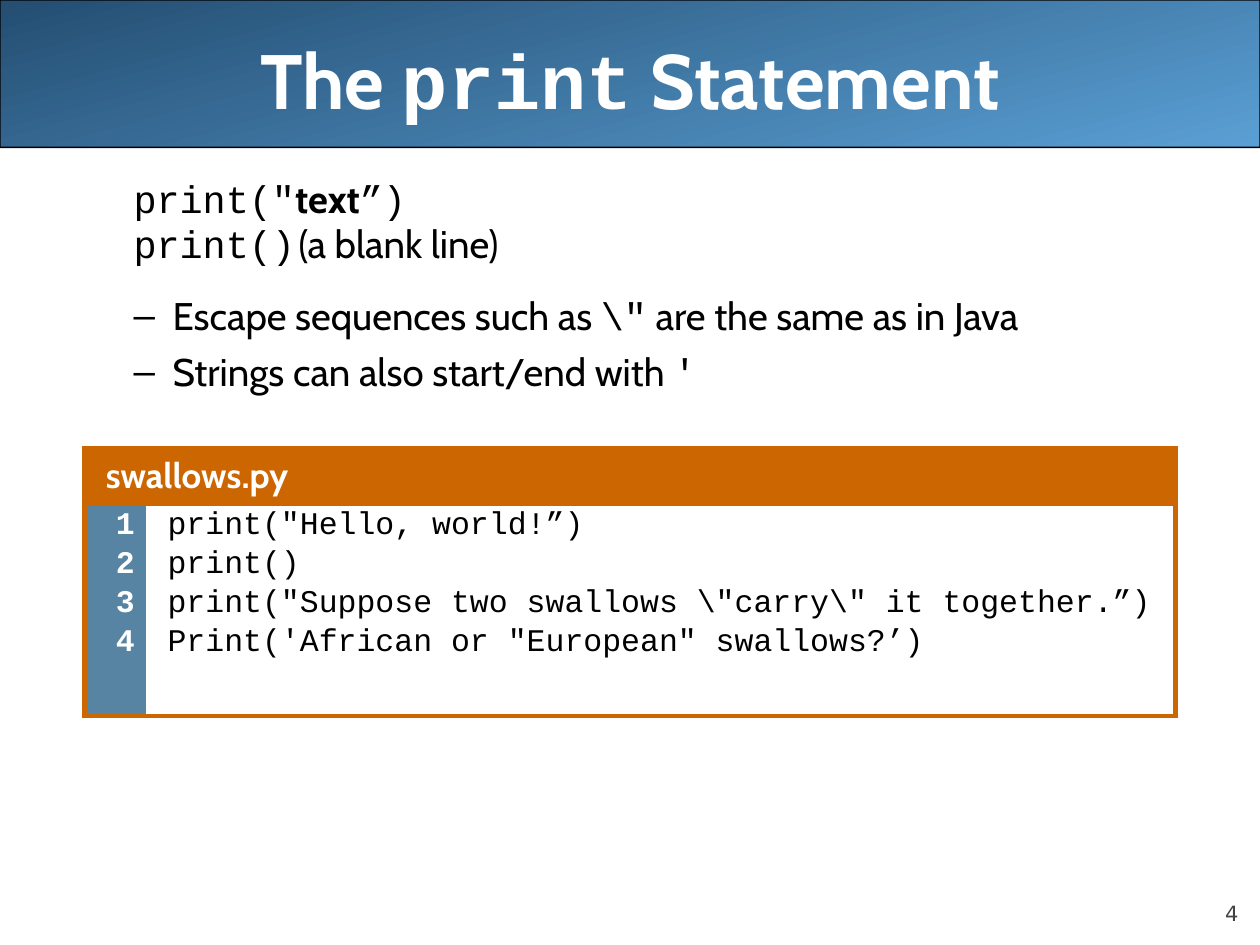
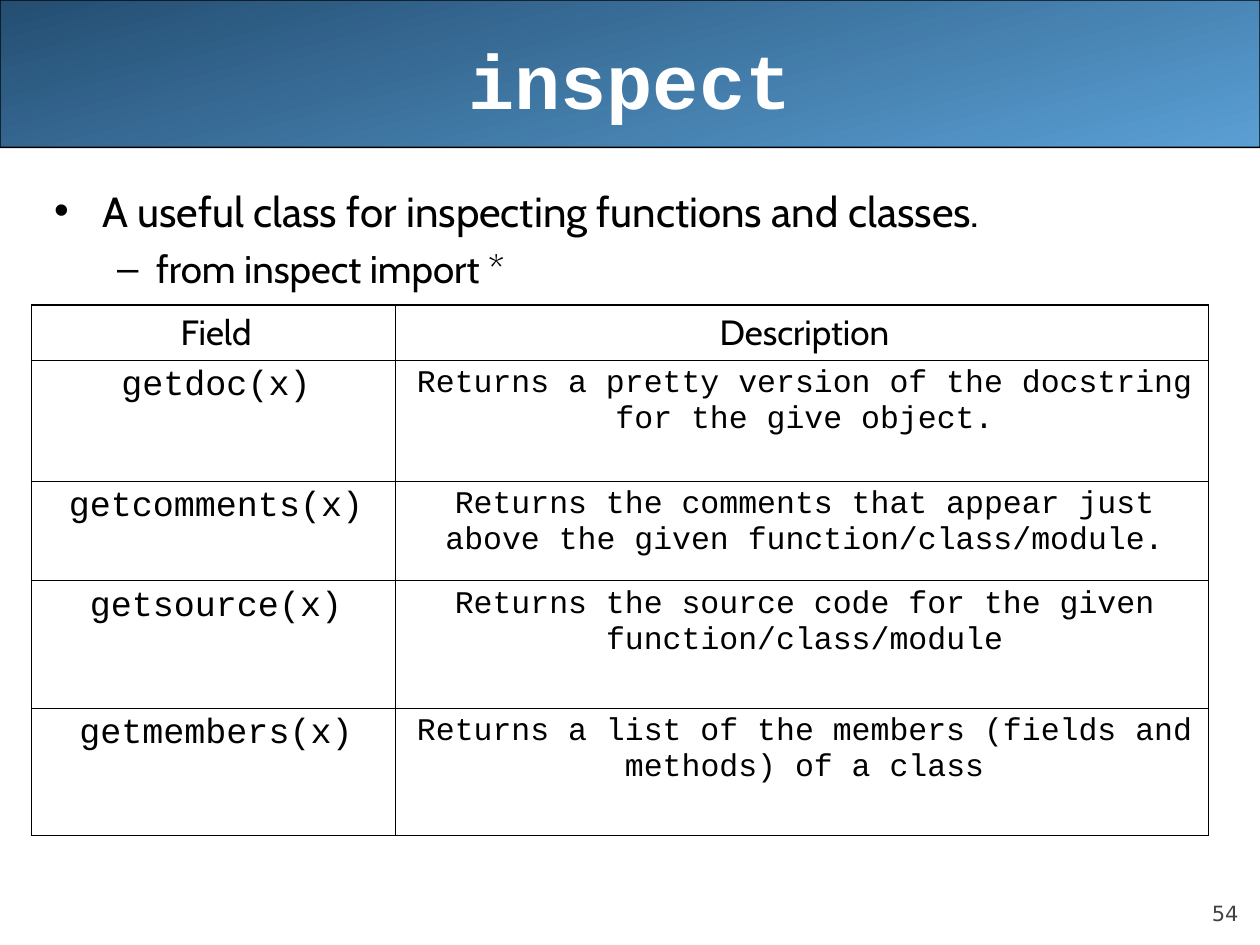
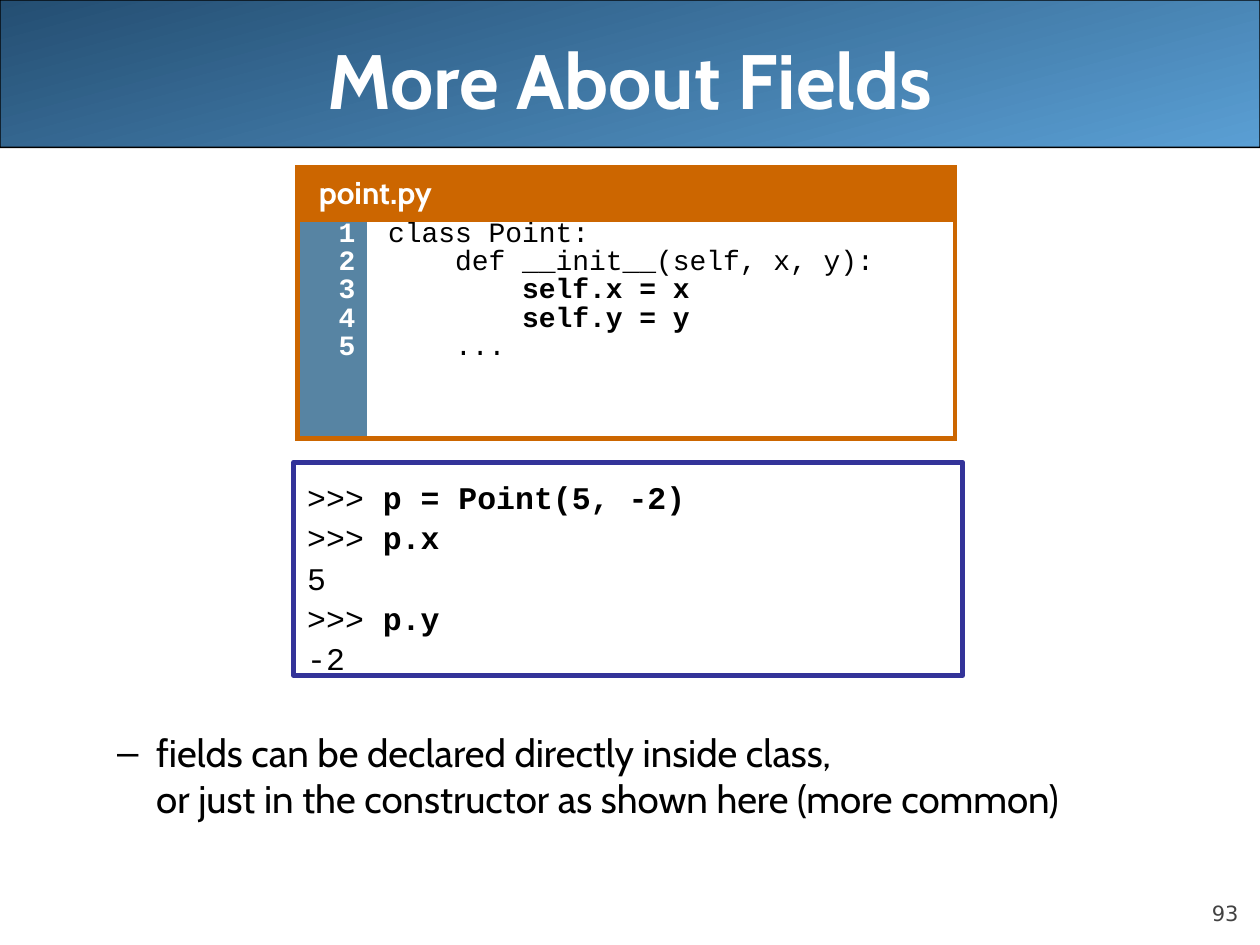
"""Build three Python lecture slides with code listings and a function table."""
from copy import deepcopy

from lxml.etree import SubElement
from pptx import Presentation
from pptx.dml.color import RGBColor
from pptx.enum.shapes import MSO_SHAPE as Shape
from pptx.enum.text import MSO_ANCHOR as Anchor, MSO_AUTO_SIZE as AutoSize, PP_ALIGN as Align
from pptx.oxml.ns import qn
from pptx.util import Inches, Pt

WIDTH, HEIGHT = 10, 7.5
BLACK, WHITE, GRAY = "000000", "FFFFFF", "424242"
BAND = ("244E72", "5A9FD4")
ORANGE, STEEL, INDIGO = "CC6600", "5784A3", "333399"

FACES = {
    "text": {"name": "Cabin", "bold": False},
    "strong": {"name": "Cabin", "bold": True},
    "code": {"name": "Courier New", "bold": False},
    "key": {"name": "Courier New", "bold": True},
    "number": {"name": "DejaVu Sans", "bold": False},
}
BODY = (0.33, 1.42, 9.5, 5.42)
SYNTAX = {"left": 0.94, "hang": -0.31, "level": 1, "line_spacing": 0.77,
          "space_before": Pt(5.5), "plain": True}
POINT = {"left": 0.38, "hang": -0.38, "space_before": Pt(6), "size": 24}
DASH = {"left": 0.81, "hang": -0.31, "level": 1, "space_before": Pt(5.5)}
WIDE_DASH = {**DASH, "left": 0.94}

PRINT_TITLE = [("The ", "strong"), ("print", "key"), (" Statement", "strong")]
PRINT_BODY = [
    ([('print("', "code"), ("text", "strong"), ("”)", "code")], SYNTAX),
    ([("print()\t", "code"), ("(a blank line)", "text")], SYNTAX),
    ([("Escape sequences such as ", "text"), ('\\"', "code"),
      (" are the same as in Java", "text")], {**WIDE_DASH, "space_before": Pt(15)}),
    ([("Strings can also start/end with ", "text"), ("'", "code")], WIDE_DASH),
]
SWALLOWS = {
    "name": "swallows.py",
    "lines": [
        ('print("Hello, world!”)', "code"),
        ("print()", "code"),
        ('print("Suppose two swallows \\"carry\\" it together.”)', "code"),
        ("Print('African or \"European\" swallows?’)", "code"),
    ],
    "at": (0.67, 3.56), "columns": (0.49, 8.17), "rows": (0.42, 1.69),
    "name_size": 20, "size": 18, "line_spacing": 0.87, "space_before": 4.5,
}
INSPECT_TITLE = [("inspect", "key")]
INSPECT_BODY = [
    ([("A useful class for inspecting functions and classes.", "text")], POINT),
    ([("from inspect import *", "text")], DASH),
]
FUNCTIONS = [
    ("Field", "Description"),
    ("getdoc(x)", "Returns a pretty version of the docstring for the give object."),
    ("getcomments(x)",
     "Returns the comments that appear just above the given function/class/module."),
    ("getsource(x)", "Returns the source code for the given function/class/module"),
    ("getmembers(x)", "Returns a list of the members (fields and methods) of a class"),
]
FIELDS_TITLE = [("More About Fields", "strong")]
FIELDS_BODY = [
    ([("fields can be declared directly inside class,\n"
       "or just in the constructor as shown here (more common)", "text")], DASH),
]
POINT_CLASS = {
    "name": "point.py",
    "lines": [
        ("class Point:", "code"),
        ("    def __init__(self, x, y):", "code"),
        ("        self.x = x", "key"),
        ("        self.y = y", "key"),
        ("    ...", "code"),
    ],
    "at": (2.36, 1.33), "columns": (0.55, 4.67), "rows": (0.41, 1.74),
    "name_size": 18, "size": 16, "line_spacing": 0.67, "space_before": 4,
}
SESSION = [
    [(">>> ", "code"), ("p = Point(5, -2)", "key")],
    [(">>> ", "code"), ("p.x", "key")],
    [("5", "code")],
    [(">>> ", "code"), ("p.y", "key")],
    [("-2", "code")],
]


def rgb(value):
    """Turn a hex string into a colour."""
    return RGBColor.from_string(value)


def assign(target, values):
    """Set each named attribute of the target."""
    for name, value in values.items():
        setattr(target, name, value)


def place(shape, box):
    """Move a shape to a left, top, width, height box in inches."""
    assign(shape, dict(zip(("left", "top", "width", "height"), map(Inches, box))))


def set_insets(target, left, top, right, bottom):
    """Set the inner margins of a text frame or a cell in inches."""
    names = ("margin_left", "margin_top", "margin_right", "margin_bottom")
    assign(target, dict(zip(names, map(Inches, (left, top, right, bottom)))))


def write_run(paragraph, text, face, size, color):
    """Add one run, with a line break at each newline."""
    for index, part in enumerate(text.split("\n")):
        if index:
            paragraph.add_line_break()
            paragraph._p[-1].append(deepcopy(run._r.rPr))
        run = paragraph.add_run()
        run.text = part
        assign(run.font, {**FACES[face], "size": Pt(size)})
        run.font.color.rgb = rgb(color)


def write(frame, paragraphs, size, color=BLACK, **shared):
    """Fill a text frame with paragraphs of runs and their formats."""
    frame.word_wrap = True
    for index, (runs, own) in enumerate(paragraphs):
        paragraph = frame.paragraphs[0] if index == 0 else frame.add_paragraph()
        form = {"line_spacing": 1.0, "space_before": Pt(0), "left": 0, "hang": 0,
                "plain": False, "size": size, **shared, **own}
        if index == 0:
            form["space_before"] = Pt(0)
        properties = paragraph._p.get_or_add_pPr()
        properties.set("marL", str(Inches(form.pop("left"))))
        properties.set("indent", str(Inches(form.pop("hang"))))
        if form.pop("plain"):
            SubElement(properties, qn("a:buNone"))
        run_size = form.pop("size")
        assign(paragraph, form)
        for text, face in runs:
            write_run(paragraph, text, face, run_size, color)


def add_band(slide):
    """Draw the title band behind everything else."""
    band = slide.shapes.add_shape(Shape.ROUNDED_RECTANGLE, 0, 0, Inches(WIDTH), Inches(1.17))
    band.adjustments[0] = 0.001
    band.shadow.inherit = False
    band.fill.gradient()
    band.fill.gradient_angle = 285
    for stop, color in zip(band.fill.gradient_stops, BAND):
        stop.color.rgb = rgb(color)
    band.line.color.rgb = rgb(BLACK)
    band.line.width = Pt(0.75)
    slide.shapes._spTree.insert(2, band._element)


def add_slide(presentation, title, body, number, body_box=BODY):
    """Add a slide with its band, title, body and number."""
    slide = presentation.slides.add_slide(presentation.slide_layouts[1])
    add_band(slide)
    place(slide.shapes.title, (0.5, 0, 9, 1.25))
    heading = slide.shapes.title.text_frame
    assign(heading, {"auto_size": AutoSize.NONE, "vertical_anchor": Anchor.MIDDLE})
    write(heading, [(title, {})], 44, WHITE, alignment=Align.CENTER)
    content = slide.placeholders[1]
    place(content, body_box)
    content.text_frame.auto_size = AutoSize.NONE
    write(content.text_frame, body, 22)
    page = slide.shapes.add_textbox(*map(Inches, (9, 6.95, 0.83, 0.4))).text_frame
    set_insets(page, 0, 0, 0, 0)
    page.vertical_anchor = Anchor.BOTTOM
    write(page, [([(number, "number")], {})], 12, GRAY, alignment=Align.RIGHT)
    return slide


def set_borders(cell, color, **widths):
    """Draw the given edges of a cell and hide the others."""
    properties = cell._tc.get_or_add_tcPr()
    for index, edge in enumerate("LRTB"):
        line = SubElement(properties, qn(f"a:ln{edge}"))
        properties.insert(index, line)
        if edge in widths:
            line.set("w", str(Pt(widths[edge])))
            fill = SubElement(line, qn("a:solidFill"))
            SubElement(fill, qn("a:srgbClr")).set("val", color)
        else:
            SubElement(line, qn("a:noFill"))


def add_table(slide, at, columns, rows):
    """Add an unstyled table with the given column widths and row heights."""
    box = map(Inches, (*at, sum(columns), sum(rows)))
    table = slide.shapes.add_table(len(rows), len(columns), *box).table
    assign(table, {"first_row": False, "horz_banding": False})
    for column, width in zip(table.columns, columns):
        column.width = Inches(width)
    for row, height in zip(table.rows, rows):
        row.height = Inches(height)
    return table


def add_listing(slide, listing):
    """Add a code listing with a name bar and line numbers."""
    table = add_table(slide, listing["at"], listing["columns"], listing["rows"])
    name, numbers, code = table.cell(0, 0), table.cell(1, 0), table.cell(1, 1)
    edges = {"T": 3, "B": 3}
    for cell, fill, right, sides in (
        (name, ORANGE, 0.05, {"L": 3, "R": 3}),
        (table.cell(0, 1), ORANGE, 0.05, {"R": 3}),
        (numbers, STEEL, 0.09, {"L": 3}),
        (code, WHITE, 0.18, {"R": 3}),
    ):
        set_borders(cell, ORANGE, **edges, **sides)
        cell.fill.solid()
        cell.fill.fore_color.rgb = rgb(fill)
        set_insets(cell, 0.05, 0.05, right, 0.05)
    name.merge(table.cell(0, 1))
    write(name.text_frame, [([(listing["name"], "strong")], {})],
          listing["name_size"], WHITE, left=0.12)
    form = {"left": 0.12, "line_spacing": listing["line_spacing"],
            "space_before": Pt(listing["space_before"])}
    lines = listing["lines"]
    counts = [([(str(index), "key")], {}) for index in range(1, len(lines) + 1)]
    write(numbers.text_frame, counts, listing["size"], WHITE, alignment=Align.RIGHT, **form)
    write(code.text_frame, [([line], {}) for line in lines], listing["size"], **form)


def add_function_table(slide):
    """Add the table of functions and their descriptions."""
    table = add_table(slide, (0.25, 2.42), (2.89, 6.45), (0.44, 0.96, 0.79, 1.01, 1.01))
    for row, texts in enumerate(FUNCTIONS):
        for column, text in enumerate(texts):
            cell = table.cell(row, column)
            set_borders(cell, BLACK, L=0.45 if column else 1.08, T=0.45 if row else 1.08,
                        R=0.45, B=0.45)
            cell.fill.background()
            set_insets(cell, 0.06, 0.05, 0.06, 0.05)
            write(cell.text_frame, [([(text, "code" if row else "text")], {})],
                  18 if row and column else 20, left=0.04, alignment=Align.CENTER)


def add_session(slide):
    """Add the framed interpreter session."""
    shape = slide.shapes.add_shape(Shape.RECTANGLE, *map(Inches, (2.33, 3.67, 5.31, 1.69)))
    shape.shadow.inherit = False
    shape.fill.solid()
    shape.fill.fore_color.rgb = rgb(WHITE)
    shape.line.color.rgb = rgb(INDIGO)
    shape.line.width = Pt(3)
    set_insets(shape.text_frame, 0.1, 0.1, 0.2, 0.1)
    shape.text_frame.vertical_anchor = Anchor.TOP
    write(shape.text_frame, [(runs, {}) for runs in SESSION], 18,
          left=0.01, alignment=Align.LEFT, line_spacing=1.07)


def main():
    """Build and save the slides."""
    presentation = Presentation()
    assign(presentation, {"slide_width": Inches(WIDTH), "slide_height": Inches(HEIGHT)})
    add_listing(add_slide(presentation, PRINT_TITLE, PRINT_BODY, "4"), SWALLOWS)
    add_function_table(
        add_slide(presentation, INSPECT_TITLE, INSPECT_BODY, "54", (*BODY[:3], 1.75)))
    fields = add_slide(presentation, FIELDS_TITLE, FIELDS_BODY, "93")
    body = fields.placeholders[1].text_frame
    body.vertical_anchor = Anchor.BOTTOM
    body.margin_bottom = Inches(0.32)
    add_listing(fields, POINT_CLASS)
    add_session(fields)
    presentation.save("out.pptx")


if __name__ == "__main__":
    main()
